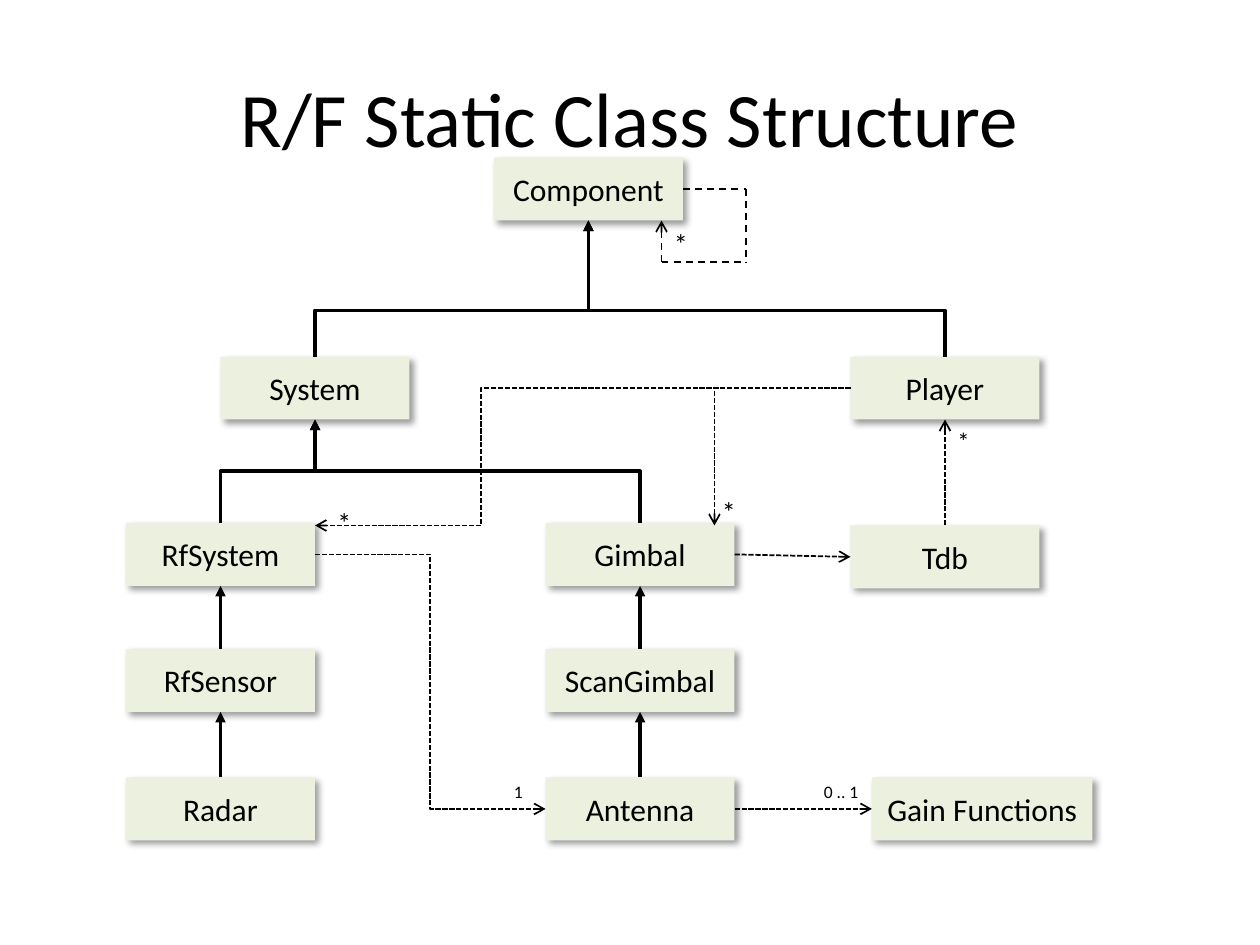
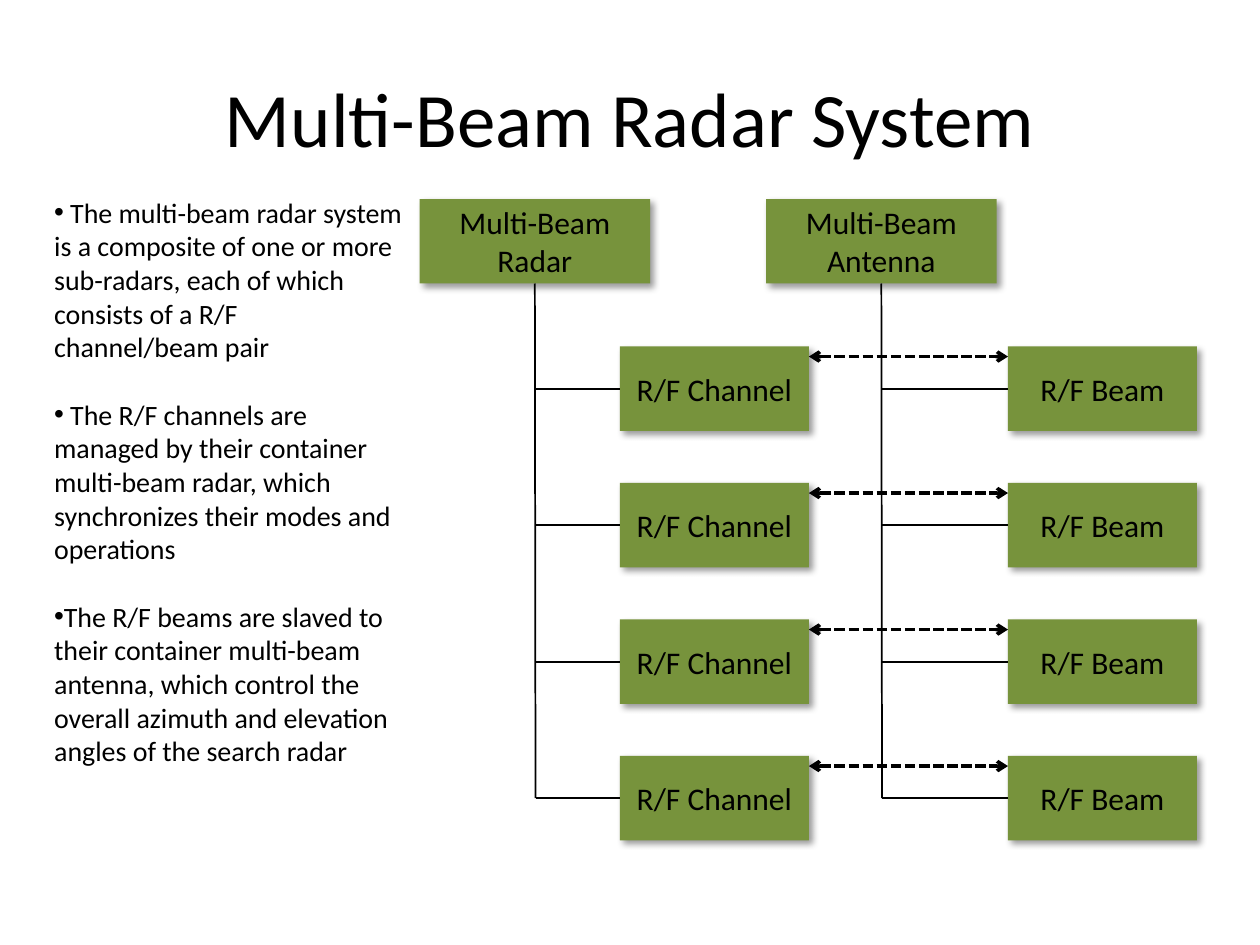
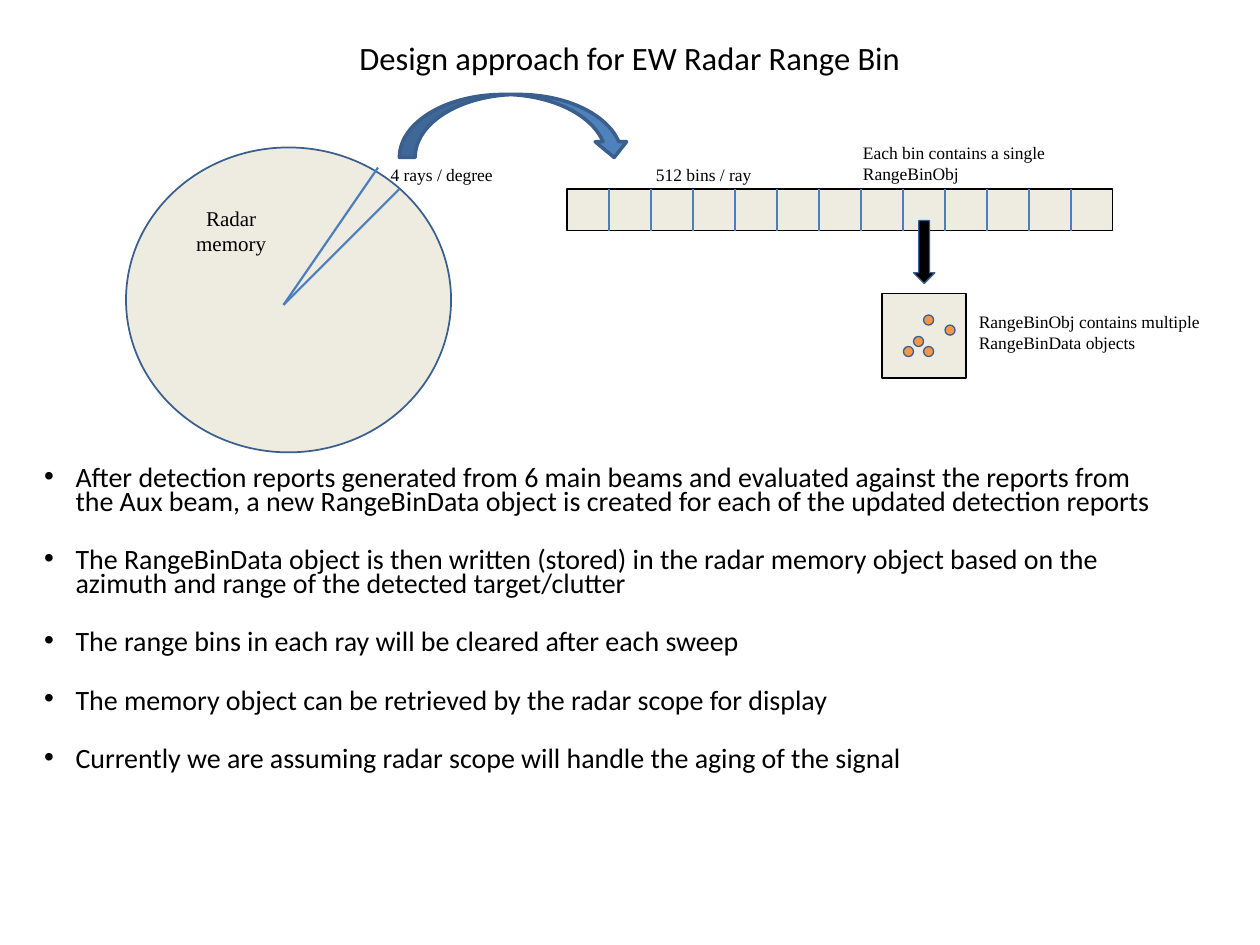
from math import cos, hypot, radians, sin
from lxml.etree import SubElement
from pptx import Presentation
from pptx.dml.color import RGBColor
from pptx.enum.dml import MSO_LINE
from pptx.enum.shapes import MSO_CONNECTOR, MSO_SHAPE
from pptx.enum.text import MSO_AUTO_SIZE, PP_ALIGN
from pptx.oxml.ns import qn
from pptx.util import Inches, Pt

BLACK = "000000"
PALE_GREEN = "EBF1DE"
GREEN = "77933C"
CREAM = "EEECE1"
NAVY = "3A5F8C"
BLUE = "4B7EBC"
ARROW_BLUE = "4F81BD"
ORANGE = "F79646"
SANS = "Calibri"
SERIF = "Times New Roman"

INHERITS = (BLACK, 2, None, None, "triangle")
USES = (BLACK, 1, MSO_LINE.SQUARE_DOT, None, "arrow")
LOOP = (BLACK, 1, MSO_LINE.DASH, None, None)
LOOP_END = (BLACK, 1, MSO_LINE.DASH, None, "arrow")
CONTAINS = (BLACK, 1, None, None, None)
PAIRS = (BLACK, 2, MSO_LINE.SQUARE_DOT, "arrow", "arrow")
RAY = (BLUE, 1.25, None, None, None)
DIVIDER = (BLUE, 0.75, None, None, None)


def paint(fill, colour):
    fill.solid()
    fill.fore_color.rgb = RGBColor.from_string(colour)


def write(frame, text, size=18, font=SANS, colour=BLACK, align=None,
          spacing=None, before=None, gap=None):
    frame.text = text
    for number, paragraph in enumerate(frame.paragraphs):
        paragraph.alignment = align
        if spacing:
            paragraph.line_spacing = spacing
        if before is not None:
            paragraph.space_before = Pt(gap if number else before)
        for run in paragraph.runs:
            run.font.size = Pt(size)
            run.font.name = font
            paint(run.font.fill, colour)


deck = Presentation()
deck.slide_width = Inches(10)
deck.slide_height = Inches(7.5)
title_only, title_and_body = deck.slide_layouts[5], deck.slide_layouts[1]
classes = deck.slides.add_slide(title_only)
beams = deck.slides.add_slide(title_and_body)
bins = deck.slides.add_slide(title_and_body)

for slide, heading, height, size, spacing in (
    (classes, "R/F Static Class Structure", 1.25, 44, None),
    (beams, "Multi-Beam Radar System", 1.25, 44, None),
    (bins, "Design approach for EW Radar Range Bin", 0.37, 18.6, 0.8),
):
    title = slide.shapes.title
    title.left, title.top, title.width, title.height = map(Inches, (0.5, 0.3, 9, height))
    write(title.text_frame, heading, size=size, align=PP_ALIGN.CENTER, spacing=spacing)
    title.text_frame.auto_size = MSO_AUTO_SIZE.NONE

beam_points = (
    " The multi-beam radar system is a composite of one or more sub-radars, "
    "each of which consists of a R/F channel/beam pair",
    " The R/F channels are managed by their container multi-beam radar, "
    "which synchronizes their modes and operations",
    "The R/F beams are slaved to their container multi-beam antenna, "
    "which control the overall azimuth and elevation angles of the search radar",
)
bin_points = (
    "After detection reports generated from 6 main beams and evaluated against the reports "
    "from the Aux beam, a new RangeBinData object is created for each of the updated "
    "detection reports",
    "The RangeBinData object is then written (stored) in the radar memory object based on "
    "the azimuth and range of the detected target/clutter",
    "The range bins in each ray will be cleared after each sweep",
    "The memory object can be retrieved by the radar scope for display",
    "Currently we are assuming radar scope will handle the aging of the signal",
)
for slide, area, points, indent, spacing, before, gap in (
    (beams, (0.33, 1.5, 3, 5.22), beam_points, 0, 1, 0, 19.5),
    (bins, (0.25, 3.67, 9, 3.08), bin_points, 0.25, 0.7, 3.2, 20),
):
    body = slide.placeholders[1]
    body.left, body.top, body.width, body.height = map(Inches, area)
    write(body.text_frame, "\n".join(points), size=16, spacing=spacing, before=before, gap=gap)
    body.text_frame.auto_size = MSO_AUTO_SIZE.NONE
    for paragraph in body.text_frame.paragraphs:
        properties = paragraph._p.get_or_add_pPr()
        properties.set("marL", str(Inches(indent)))
        properties.set("indent", str(-Inches(indent)))
        SubElement(properties, qn("a:buChar"), char="•")

RECT, OVAL = MSO_SHAPE.RECTANGLE, MSO_SHAPE.OVAL
shapes = [
    (classes, RECT, (left, top, width, 0.5), PALE_GREEN, None, 0, name)
    for name, left, top, width in (
        ("Component", 3.92, 1.25, 1.5),
        ("System", 1.75, 2.83, 1.5),
        ("Player", 6.75, 2.83, 1.5),
        ("RfSystem", 1, 4.15, 1.5),
        ("RfSensor", 1, 5.15, 1.5),
        ("Radar", 1, 6.17, 1.5),
        ("Gimbal", 4.33, 4.15, 1.5),
        ("ScanGimbal", 4.33, 5.15, 1.5),
        ("Antenna", 4.33, 6.17, 1.5),
        ("Tdb", 6.75, 4.17, 1.5),
        ("Gain Functions", 6.92, 6.17, 1.75),
    )
]
lines = [
    (classes, (x, start), (x, end), INHERITS)
    for x in (1.75, 5.08)
    for start, end in ((6.17, 5.65), (5.15, 4.65))
]
lines += [
    (classes, (5.08, 4.15), (2.5, 3.33), INHERITS, "bentConnector3", 270, 0.5),
    (classes, (1.75, 4.15), (2.5, 3.33), INHERITS, "bentConnector3", 90, 0.5),
    (classes, (2.5, 2.83), (4.67, 1.75), INHERITS, "bentConnector3", 90, 0.34),
    (classes, (7.5, 2.83), (4.67, 1.75), INHERITS, "bentConnector3", 270, 0.34),
    (classes, (2.5, 4.4), (4.33, 6.42), USES, "bentConnector3", 0, 0.5),
    (classes, (6.75, 3.08), (5.67, 4.17), USES, "bentConnector2", 180, None),
    (classes, (6.75, 3.08), (2.5, 4.17), USES, "bentConnector3", 180, 0.69),
    (classes, (5.83, 4.4), (6.75, 4.42), USES),
    (classes, (7.5, 4.17), (7.5, 3.33), USES),
    (classes, (5.83, 6.42), (6.92, 6.42), USES),
    (classes, (5.25, 2.08), (5.25, 1.75), LOOP_END),
    (classes, (5.25, 2.08), (5.92, 2.08), LOOP),
    (classes, (5.42, 1.5), (5.92, 1.5), LOOP),
    (classes, (5.92, 1.5), (5.92, 2.08), LOOP),
]

box_height, first_row, row_step = 0.67, 2.75, 3.25 / 3
for container, member, left, trunk, branch in (
    ("Multi-Beam\nRadar", "R/F Channel", 3.33, 4.25, 4.92),
    ("Multi-Beam\nAntenna", "R/F Beam", 6.08, 7, 8),
):
    shapes.append((beams, RECT, (left, 1.58, 1.83, box_height), GREEN, None, 0, container))
    for row in range(4):
        top = first_row + row * row_step
        middle = top + box_height / 2
        shapes.append((beams, RECT, (branch, top, 1.5, box_height), GREEN, None, 0, member))
        lines.append((beams, (trunk, middle), (branch, middle), CONTAINS))
    lines.append((beams, (trunk, 2.25), (trunk, middle), CONTAINS))
for row in range(4):
    level = first_row + 0.08 + row * row_step
    lines.append((beams, (6.42, level), (8, level), PAIRS))

shapes += [
    (bins, RECT, (7, 2.33, 0.67, 0.67), CREAM, BLACK, 1, ""),
    (bins, OVAL, (1, 1.17, 2.58, 2.42), CREAM, NAVY, 1, ""),
    (bins, MSO_SHAPE.CURVED_DOWN_ARROW, (3.17, 0.75, 1.83, 0.5), ARROW_BLUE, NAVY, 2, ""),
    (bins, RECT, (4.5, 1.5, 4.33, 0.33), CREAM, BLACK, 1, ""),
    (bins, MSO_SHAPE.DOWN_ARROW, (7.25, 1.75, 0.17, 0.5), BLACK, NAVY, 0.75, ""),
]
shapes += [
    (bins, OVAL, (left, top, 0.08, 0.08), ORANGE, NAVY, 0.75, "")
    for left, top in ((7.33, 2.5), (7.25, 2.67), (7.33, 2.75), (7.5, 2.58), (7.17, 2.75))
]
lines += [(bins, (2.25, 2.42), rim, RAY) for rim in ((3, 1.33), (3.17, 1.5))]
for number in range(1, 13):
    x = 4.5 + number / 3
    lines.append((bins, (x, 1.5), (x, 1.83), DIVIDER))

sides = []
for slide, kind, area, fill, outline, weight, text in shapes:
    shape = slide.shapes.add_shape(kind, *map(Inches, area))
    paint(shape.fill, fill)
    shape.shadow.inherit = False
    if outline:
        paint(shape.line.fill, outline)
        shape.line.width = Pt(weight)
    else:
        shape.line.fill.background()
        effects = shape.element.spPr.find(qn("a:effectLst"))
        shadow = SubElement(effects, qn("a:outerShdw"), blurRad=str(Pt(4)), dist=str(Pt(3)),
                            dir="2700000", algn="tl", rotWithShape="0")
        tint = SubElement(shadow, qn("a:srgbClr"), val=BLACK)
        SubElement(tint, qn("a:alpha"), val="40000")
    if text:
        write(shape.text_frame, text, align=PP_ALIGN.CENTER)
    if kind == RECT:
        left, top, width, height = area
        sides += [
            (slide, shape, 0, left + width / 2, top),
            (slide, shape, 1, left, top + height / 2),
            (slide, shape, 2, left + width / 2, top + height),
            (slide, shape, 3, left + width, top + height / 2),
        ]

for slide, start, end, (colour, weight, dash, head, tail), *bend in lines:
    route = MSO_CONNECTOR.ELBOW if bend else MSO_CONNECTOR.STRAIGHT
    first, last = start, end
    if bend:
        preset, turn, split = bend
        center_x, center_y = (start[0] + end[0]) / 2, (start[1] + end[1]) / 2
        across, down = start[0] - center_x, start[1] - center_y
        c, s = cos(radians(turn)), sin(radians(turn))
        x, y = across * c + down * s, down * c - across * s
        first, last = (center_x + x, center_y + y), (center_x - x, center_y - y)
    connector = slide.shapes.add_connector(route, *map(Inches, first + last))
    paint(connector.line.fill, colour)
    connector.line.width = Pt(weight)
    if dash:
        connector.line.dash_style = dash
    properties = connector.element.spPr
    for tag, arrow in (("a:headEnd", head), ("a:tailEnd", tail)):
        if arrow:
            SubElement(properties.find(qn("a:ln")), qn(tag), type=arrow)
    SubElement(properties, qn("a:effectLst"))
    if bend:
        properties.find(qn("a:xfrm")).set("rot", str(turn * 60000))
        geometry = properties.find(qn("a:prstGeom"))
        geometry.set("prst", preset)
        if split:
            SubElement(geometry.find(qn("a:avLst")), qn("a:gd"), name="adj1",
                       fmla=f"val {round(split * 100000)}")
        continue
    for (x, y), join in ((start, connector.begin_connect), (end, connector.end_connect)):
        for owner, box, site, side_x, side_y in sides:
            if owner is slide and hypot(x - side_x, y - side_y) < 0.02:
                join(box, site)

for slide, text, area, size, font, align, wrap in (
    (classes, "1", (3.98, 6.15, 0.27, 0.27), 10, SANS, None, False),
    (classes, "0 .. 1", (6.44, 6.15, 0.48, 0.27), 10, SANS, None, False),
    (classes, "*", (7.5, 3.33, 0.3, 0.34), 14, SANS, None, False),
    (classes, "*", (5.25, 1.75, 0.29, 0.37), 16, SANS, None, False),
    (classes, "*", (5.63, 3.88, 0.29, 0.37), 16, SANS, None, False),
    (classes, "*", (2.58, 3.96, 0.29, 0.37), 16, SANS, None, False),
    (bins, "4 rays / degree", (2.92, 1.25, 1.17, 0.27), 10, SERIF, PP_ALIGN.CENTER, True),
    (bins, "512 bins / ray", (5, 1.25, 1.17, 0.27), 10, SERIF, PP_ALIGN.CENTER, True),
    (bins, "Radar memory", (1.25, 1.58, 1.17, 0.5), 12, SERIF, PP_ALIGN.CENTER, True),
    (bins, "RangeBinObj contains multiple RangeBinData objects",
     (7.67, 2.42, 2.08, 0.44), 10, SERIF, None, True),
    (bins, "Each bin contains a single RangeBinObj",
     (6.75, 1.08, 1.75, 0.44), 10, SERIF, None, True),
):
    label = slide.shapes.add_textbox(*map(Inches, area)).text_frame
    write(label, text, size=size, font=font, align=align)
    label.word_wrap = wrap
    label.auto_size = MSO_AUTO_SIZE.SHAPE_TO_FIT_TEXT

deck.save("out.pptx")
